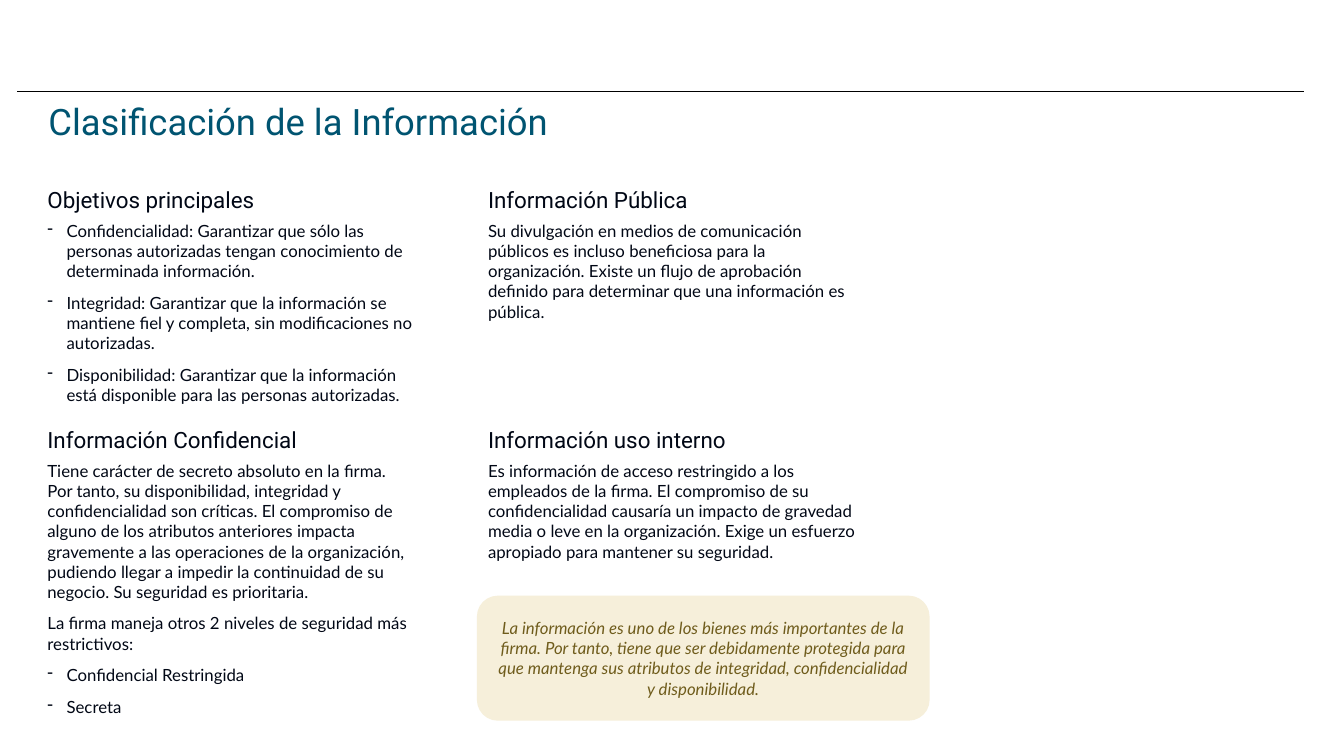
from dataclasses import dataclass

from lxml import etree
from pptx import Presentation
from pptx.dml.color import RGBColor
from pptx.enum.shapes import MSO_CONNECTOR, MSO_SHAPE
from pptx.enum.text import MSO_ANCHOR, MSO_AUTO_SIZE, PP_ALIGN
from pptx.oxml.ns import qn
from pptx.util import Inches, Pt

LEFT, CENTER = PP_ALIGN.LEFT, PP_ALIGN.CENTER
TOP, MIDDLE = MSO_ANCHOR.TOP, MSO_ANCHOR.MIDDLE
NO_FIT = MSO_AUTO_SIZE.NONE
STRAIGHT = MSO_CONNECTOR.STRAIGHT
ROUNDED = MSO_SHAPE.ROUNDED_RECTANGLE

COLORS = {
    "background": "FFFFFF",
    "rule": "000000",
    "title": "005471",
    "text": "000715",
    "callout": "F6EFDA",
    "callout_text": "6F5C1C",
}
HEADING_FONT, BODY_FONT = "Roboto", "Lato"

GRID_LEFT, GRID_TOP = 0.47, 1.85
COLUMN_STEP, ROW_STEP = 4.37, 2.38
COLUMN_WIDTH, HEADING_HEIGHT, BODY_HEIGHT = 3.65, 0.32, 1.24
BODY_OFFSET = 0.34
BULLET_INDENT = 0.19
PARAGRAPH_GAP = 8.1


@dataclass(frozen=True)
class Style:
    font: str
    size: float
    color: str
    italic: bool = False


@dataclass(frozen=True)
class Line:
    text: str
    bullet: bool = False


@dataclass(frozen=True)
class Section:
    column: int
    row: int
    heading: str
    lines: tuple[Line, ...]


TITLE = Style(HEADING_FONT, 26, "title")
HEADING = Style(HEADING_FONT, 16, "text")
BODY = Style(BODY_FONT, 12, "text")
CALLOUT = Style(BODY_FONT, 12, "callout_text", italic=True)

SECTIONS = (
    Section(0, 0, "Objetivos principales", (
        Line("Confidencialidad: Garantizar que sólo las personas autorizadas tengan "
             "conocimiento de determinada información.", True),
        Line("Integridad: Garantizar que la información se mantiene fiel y completa, "
             "sin modificaciones no autorizadas.", True),
        Line("Disponibilidad: Garantizar que la información está disponible para las "
             "personas autorizadas.", True),
    )),
    Section(1, 0, "Información Pública", (
        Line("Su divulgación en medios de comunicación públicos es incluso beneficiosa "
             "para la organización. Existe un flujo de aprobación definido para "
             "determinar que una información es pública."),
    )),
    Section(0, 1, "Información Confidencial", (
        Line("Tiene carácter de secreto absoluto en la firma. Por tanto, su disponibilidad, "
             "integridad y confidencialidad son críticas. El compromiso de alguno de los "
             "atributos anteriores impacta gravemente a las operaciones de la "
             "organización, pudiendo llegar a impedir la continuidad de su negocio. "
             "Su seguridad es prioritaria."),
        Line("La firma maneja otros 2 niveles de seguridad más restrictivos:"),
        Line("Confidencial Restringida", True),
        Line("Secreta", True),
    )),
    Section(1, 1, "Información uso interno", (
        Line("Es información de acceso restringido a los empleados de la firma. El compromiso "
             "de su confidencialidad causaría un impacto de gravedad media o leve en la "
             "organización. Exige un esfuerzo apropiado para mantener su seguridad."),
    )),
)
CALLOUT_TEXT = (
    "La información es uno de los bienes más importantes de la firma. Por tanto, tiene que "
    "ser debidamente protegida para que mantenga sus atributos de integridad, "
    "confidencialidad y disponibilidad."
)


def color(name: str) -> RGBColor:
    return RGBColor.from_string(COLORS[name])


def prepare_frame(frame, anchor=TOP, margin: float | None = 0) -> None:
    frame.word_wrap = True
    frame.auto_size = NO_FIT
    frame.vertical_anchor = anchor
    if margin is not None:
        frame.margin_left = frame.margin_right = Inches(margin)
        frame.margin_top = frame.margin_bottom = Inches(margin)


def add_span(para, text: str, style: Style) -> None:
    span = para.add_run()
    span.text = text
    span.font.name = style.font
    span.font.size = Pt(style.size)
    span.font.italic = style.italic
    span.font.color.rgb = color(style.color)


def add_bullet(para) -> None:
    properties = para._p.get_or_add_pPr()
    properties.set("marL", str(Inches(BULLET_INDENT)))
    properties.set("indent", str(-Inches(BULLET_INDENT)))
    etree.SubElement(properties, qn("a:buChar")).set("char", "-")


def write_lines(frame, lines: tuple[Line, ...], style: Style, align=LEFT) -> None:
    for index, line in enumerate(lines):
        para = frame.add_paragraph() if index else frame.paragraphs[0]
        if line.bullet:
            add_bullet(para)
        para.alignment = align
        if index:
            para.space_before = Pt(PARAGRAPH_GAP)
        add_span(para, line.text, style)


def add_text(page, left: float, top: float, height: float,
             lines: tuple[Line, ...], style: Style) -> None:
    box = page.shapes.add_textbox(
        Inches(left), Inches(top), Inches(COLUMN_WIDTH), Inches(height))
    prepare_frame(box.text_frame)
    write_lines(box.text_frame, lines, style)


def add_section(page, section: Section) -> None:
    left = GRID_LEFT + section.column * COLUMN_STEP
    top = GRID_TOP + section.row * ROW_STEP
    add_text(page, left, top, HEADING_HEIGHT, (Line(section.heading),), HEADING)
    add_text(page, left, top + BODY_OFFSET, BODY_HEIGHT, section.lines, BODY)


def add_title(page) -> None:
    title = page.shapes.title
    title.left, title.top = Inches(0.48), Inches(1.03)
    title.width, title.height = Inches(12.37), Inches(0.56)
    prepare_frame(title.text_frame)
    write_lines(title.text_frame, (Line("Clasificación de la Información"),), TITLE)
    title.text_frame.paragraphs[0].line_spacing = 0.9


def add_rule(page) -> None:
    rule = page.shapes.add_connector(
        STRAIGHT, Inches(0.17), Inches(0.91), Inches(12.93), Inches(0.91))
    rule.line.color.rgb = color("rule")
    rule.line.width = Pt(1)
    etree.SubElement(rule._element.spPr, qn("a:effectLst"))


def add_callout(page) -> None:
    callout = page.shapes.add_shape(
        ROUNDED, Inches(4.73), Inches(5.91), Inches(4.49), Inches(1.24))
    callout.shadow.inherit = False
    callout.fill.solid()
    callout.fill.fore_color.rgb = color("callout")
    callout.line.fill.background()
    prepare_frame(callout.text_frame, MIDDLE, None)
    write_lines(callout.text_frame, (Line(CALLOUT_TEXT),), CALLOUT, CENTER)


def main() -> None:
    deck = Presentation()
    deck.slide_width, deck.slide_height = Inches(13.33), Inches(7.5)
    page = deck.slides.add_slide(deck.slide_layouts.get_by_name("Title Only"))
    page.background.fill.solid()
    page.background.fill.fore_color.rgb = color("background")
    add_rule(page)
    add_title(page)
    for section in SECTIONS:
        add_section(page, section)
    add_callout(page)
    deck.save("out.pptx")


if __name__ == "__main__":
    main()
